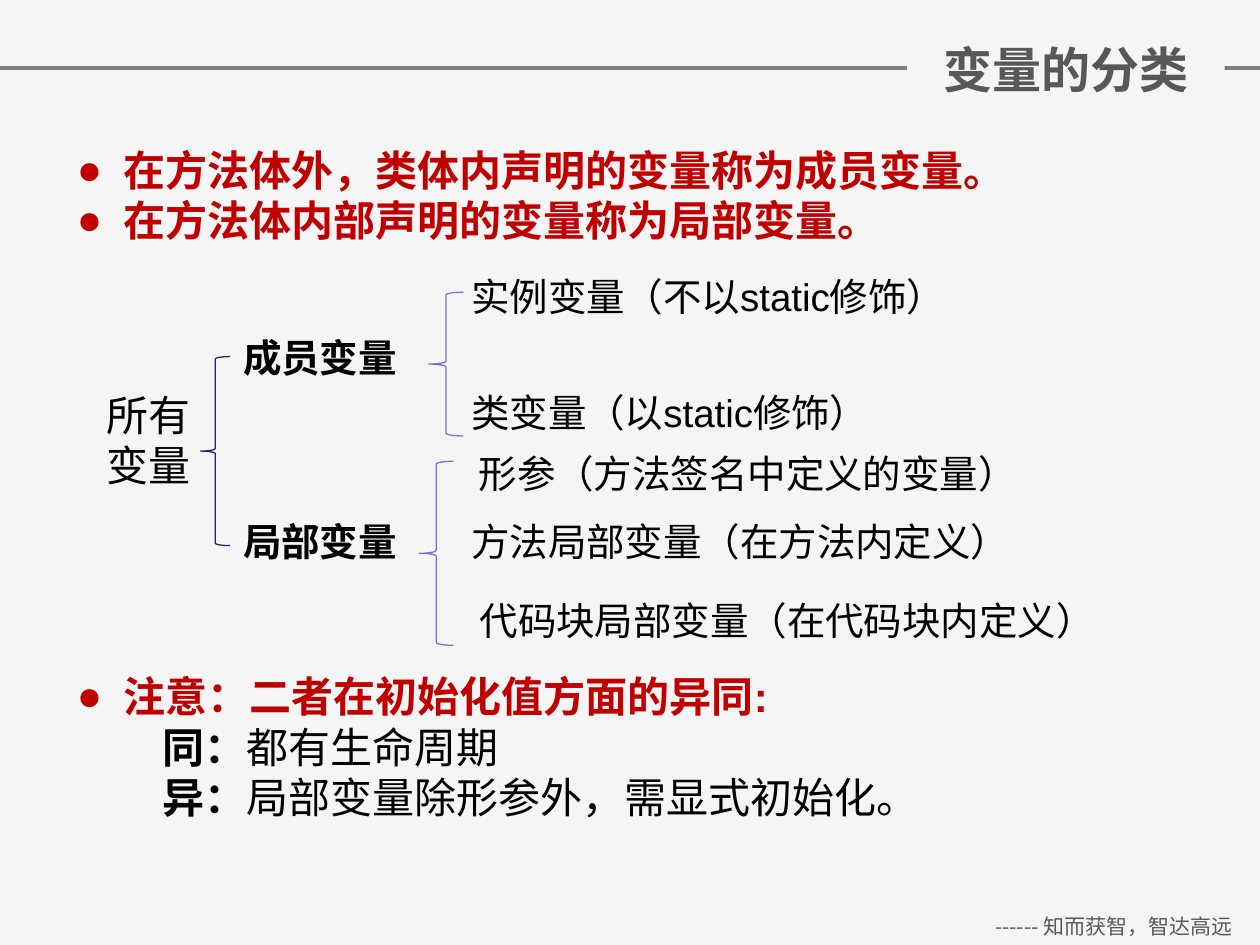
from dataclasses import dataclass

from lxml import etree
from pptx import Presentation
from pptx import util as u
from pptx.dml.color import RGBColor
from pptx.enum import shapes, text
from pptx.oxml.ns import qn


@dataclass(frozen=True)
class Theme:
    back: str = "F5F5F5"
    rule: str = "7F7F7F"
    title: str = "595758"
    footer: str = "595959"
    accent: str = "C00000"
    ink: str = "000000"
    brace_main: str = "262673"
    brace_sub: str = "7575D1"
    latin: str = "Arial"
    cjk: str = "Noto Sans CJK SC"
    title_size: int = 28
    body_size: int = 24
    branch_size: int = 22
    footer_size: int = 12


T = Theme()


def add_text(p, content, *, size=T.body_size, color=T.ink, bold=False, font=T.latin):
    r = p.add_run()
    r.text = content
    r.font.size = u.Pt(size)
    r.font.bold = bold
    r.font.color.rgb = RGBColor.from_string(color)
    r.font.name = font
    etree.SubElement(r.font._element, qn("a:ea"), typeface=T.cjk)


def add_box(left, top, width, height):
    """Add a wrapping text box, measured in centimetres."""
    sp = s.shapes.add_textbox(u.Cm(left), u.Cm(top), u.Cm(width), u.Cm(height))
    sp.text_frame.word_wrap = True
    return sp


prs = Presentation()
prs.slide_width, prs.slide_height = u.Cm(25.4), u.Cm(19.05)
s = prs.slides.add_slide(prs.slide_layouts[6])
s.background.fill.solid()
s.background.fill.fore_color.rgb = RGBColor.from_string(T.back)

# Header rule, interrupted by the filled title box
rule = s.shapes.add_connector(
    shapes.MSO_CONNECTOR.STRAIGHT, 0, u.Cm(1.37), prs.slide_width, u.Cm(1.37))
rule.line.color.rgb = RGBColor.from_string(T.rule)
rule.line.width = u.Pt(2)
etree.SubElement(rule._element.spPr, qn("a:effectLst"))

footer = add_box(19.51, 18.29, 5.89, 0.76)
p = footer.text_frame.paragraphs[0]
p.alignment = text.PP_ALIGN.CENTER
add_text(p, "------ 知而获智，智达高远", size=T.footer_size, color=T.footer, font=T.cjk)

title = add_box(18.29, 0.66, 6.4, 1.45)
title.fill.solid()
title.fill.fore_color.rgb = RGBColor.from_string(T.back)
title.text_frame.vertical_anchor = text.MSO_ANCHOR.MIDDLE
p = title.text_frame.paragraphs[0]
p.alignment = text.PP_ALIGN.CENTER
add_text(p, "变量的分类", size=T.title_size, color=T.title, bold=True, font=T.cjk)

# Body: the gap before the third bullet leaves room for the tree
tf = add_box(1.3, 2.79, 23.2, 13.9).text_frame
bullets = [
    ("在方法体外，类体内声明的变量称为成员变量。", 0),
    ("在方法体内部声明的变量称为局部变量。", 0),
    ("注意：二者在初始化值方面的异同:", 243),
]
for i, (content, gap) in enumerate(bullets):
    p = tf.paragraphs[0] if i == 0 else tf.add_paragraph()
    pPr = p._p.get_or_add_pPr()
    pPr.set("marL", str(u.Cm(0.95)))
    pPr.set("indent", str(-u.Cm(0.95)))
    color = etree.SubElement(pPr, qn("a:buClr"))
    etree.SubElement(color, qn("a:srgbClr"), val=T.accent)
    etree.SubElement(pPr, qn("a:buFont"), typeface=T.latin)
    etree.SubElement(pPr, qn("a:buChar"), char="●")
    if gap:
        p.space_before = u.Pt(gap)
    add_text(p, content, color=T.accent, bold=True)

for label, content in [("同：", "都有生命周期"),
                       ("异：", "局部变量除形参外，需显式初始化。")]:
    p = tf.add_paragraph()
    p._p.get_or_add_pPr().set("marL", str(u.Cm(1.73)))
    add_text(p, label, bold=True)
    add_text(p, content)

# Tree of variable kinds
braces = [
    (4.04, 7.19, 0.6, 3.81, T.brace_main),
    (8.64, 5.89, 0.7, 2.9, T.brace_sub),
    (8.45, 9.3, 0.69, 3.71, T.brace_sub),
]
for left, top, width, height, color in braces:
    sp = s.shapes.add_shape(shapes.MSO_SHAPE.LEFT_BRACE,
                            u.Cm(left), u.Cm(top), u.Cm(width), u.Cm(height))
    sp.shadow.inherit = False
    sp.fill.background()
    sp.line.color.rgb = RGBColor.from_string(color)
    sp.line.width = u.Pt(0.75)

root = add_box(1.9, 7.72, 2.34, 2.29).text_frame
add_text(root.paragraphs[0], "所有")
add_text(root.add_paragraph(), "变量")

nodes = [
    ("成员变量", 4.65, 6.6, 4.19, True),
    ("局部变量", 4.65, 10.31, 4.19, True),
    ("实例变量（不以static修饰）", 9.25, 5.38, 12.6, False),
    ("类变量（以static修饰）", 9.25, 7.72, 12.6, False),
    ("形参（方法签名中定义的变量）", 9.4, 8.94, 12.6, False),
    ("方法局部变量（在方法内定义）", 9.25, 10.31, 12.6, False),
    ("代码块局部变量（在代码块内定义）", 9.42, 11.91, 13.64, False),
]
for content, left, top, width, bold in nodes:
    sp = add_box(left, top, width, 1.19)
    add_text(sp.text_frame.paragraphs[0], content, size=T.branch_size, bold=bold)

prs.save("out.pptx")
